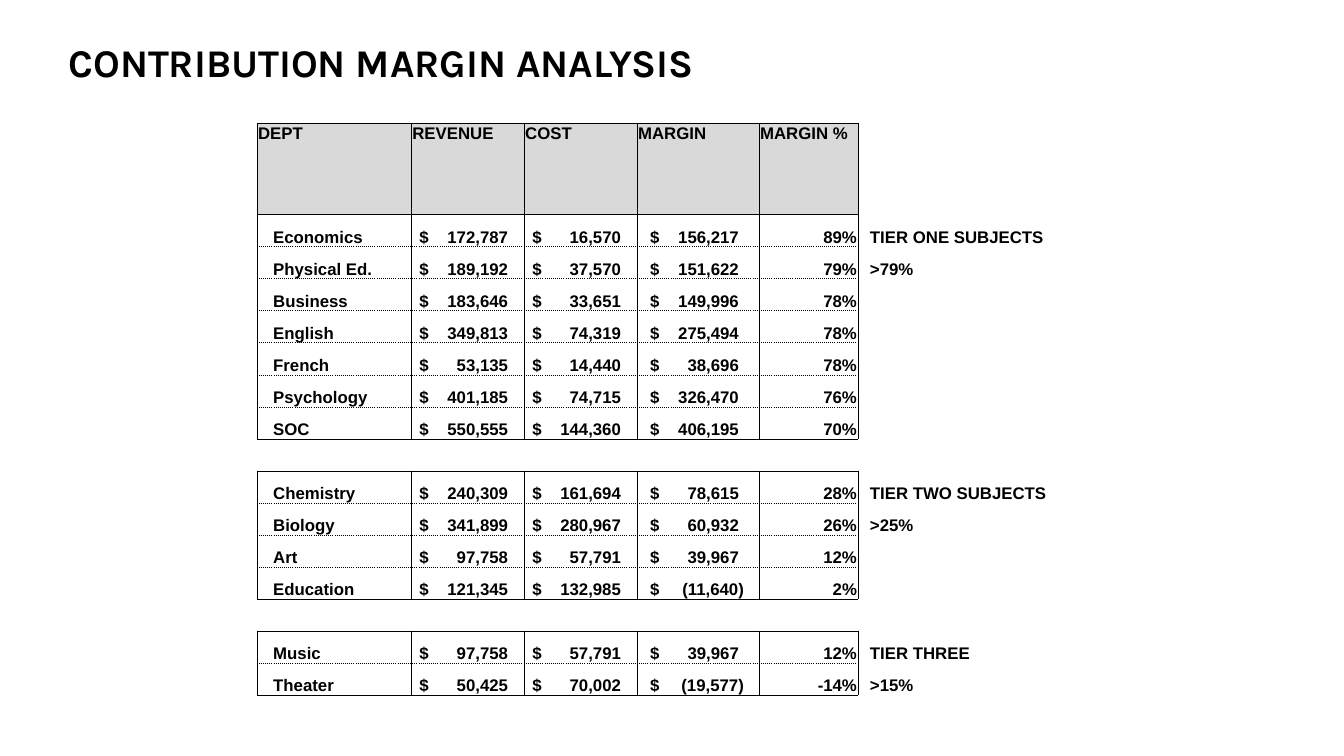
from lxml import etree
from pptx import Presentation
from pptx import util as u
from pptx.dml.color import RGBColor
from pptx.enum import text
from pptx.oxml import ns

HEADERS = ["DEPT", "REVENUE", "COST", "MARGIN", "MARGIN %"]
TIERS = [
    (["TIER ONE SUBJECTS", ">79%"], [
        ("Economics", "172,787", "16,570", "156,217", "89%"),
        ("Physical Ed.", "189,192", "37,570", "151,622", "79%"),
        ("Business", "183,646", "33,651", "149,996", "78%"),
        ("English", "349,813", "74,319", "275,494", "78%"),
        ("French", "53,135", "14,440", "38,696", "78%"),
        ("Psychology", "401,185", "74,715", "326,470", "76%"),
        ("SOC", "550,555", "144,360", "406,195", "70%"),
    ]),
    (["TIER TWO SUBJECTS", ">25%"], [
        ("Chemistry", "240,309", "161,694", "78,615", "28%"),
        ("Biology", "341,899", "280,967", "60,932", "26%"),
        ("Art", "97,758", "57,791", "39,967", "12%"),
        ("Education", "121,345", "132,985", "(11,640)", "2%"),
    ]),
    (["TIER THREE", ">15%"], [
        ("Music", "97,758", "57,791", "39,967", "12%"),
        ("Theater", "50,425", "70,002", "(19,577)", "-14%"),
    ]),
]
COLS = [1.53, 1.12, 1.12, 1.21, 0.98, 2.13]
INSETS = [0.16, 0.08, 0.08, 0.13, 0.01, 0.12]
HEAD_H, TABLE_H = 0.91, 5.68
LABEL_COL = 5


def rgb(code):
    return RGBColor.from_string(code)


class Deck:
    """Holds the style and the current slide."""

    ink, head_fill = "000000", "D9D9D9"
    title_font, body_font = "Karla", "Arial"

    def __init__(self, prs):
        self.s = prs.slides.add_slide(prs.slide_layouts[5])

    def run(self, p, content, font, size):
        r = p.add_run()
        r.text = content
        r.font.name, r.font.size, r.font.bold = font, u.Pt(size), True
        r.font.color.rgb = rgb(self.ink)

    def title(self, content, left, top, width, height):
        sp = self.s.shapes.title
        sp.left, sp.top, sp.width, sp.height = map(u.Inches, (left, top, width, height))
        tf = sp.text_frame
        tf.word_wrap = True
        tf.auto_size = text.MSO_AUTO_SIZE.NONE
        tf.vertical_anchor = text.MSO_ANCHOR.TOP
        p = tf.paragraphs[0]
        p.alignment = text.PP_ALIGN.LEFT
        p.space_before = u.Pt(5.6)
        self.run(p, content, self.title_font, 28)

    def table(self, left, top, widths, heights):
        tbl = self.s.shapes.add_table(
            len(heights), len(widths), u.Inches(left), u.Inches(top),
            u.Inches(sum(widths)), u.Inches(sum(heights))).table
        tbl.first_row = tbl.horz_banding = False
        for col, width in zip(tbl.columns, widths):
            col.width = u.Inches(width)
        for row, height in zip(tbl.rows, heights):
            row.height = u.Inches(height)
        return tbl

    def borders(self, cell, sides):
        tcPr = cell._tc.get_or_add_tcPr()
        for side in "LRTB":
            ln = etree.SubElement(tcPr, ns.qn(f"a:ln{side}"), w=str(u.Pt(0.5)))
            if side not in sides:
                etree.SubElement(ln, ns.qn("a:noFill"))
                continue
            fill = etree.SubElement(ln, ns.qn("a:solidFill"))
            etree.SubElement(fill, ns.qn("a:srgbClr"), val=self.ink)
            etree.SubElement(ln, ns.qn("a:prstDash"), val=sides[side])

    def cell(self, cell, content, sides, inset=0.01, align="LEFT", anchor="BOTTOM",
             fill=None, tab=None):
        self.borders(cell, sides)
        if fill:
            cell.fill.solid()
            cell.fill.fore_color.rgb = rgb(fill)
        else:
            cell.fill.background()
        cell.margin_left = u.Inches(inset)
        cell.margin_right = cell.margin_top = u.Inches(0.01)
        cell.margin_bottom = 0
        cell.vertical_anchor = text.MSO_ANCHOR[anchor]
        p = cell.text_frame.paragraphs[0]
        p.alignment = text.PP_ALIGN[align]
        if tab:
            stops = etree.SubElement(p._p.get_or_add_pPr(), ns.qn("a:tabLst"))
            etree.SubElement(stops, ns.qn("a:tab"), pos=str(u.Inches(tab)), algn="r")
        if content:
            self.run(p, content, self.body_font, 12)

    def department(self, tbl, i, values, first, last):
        sides = {"L": "solid", "R": "solid",
                 "T": "solid" if first else "dot", "B": "solid" if last else "dot"}
        for c, value in enumerate(values):
            style = {}
            if c in (1, 2, 3):
                style["tab"] = 0.93 if value.endswith(")") else 0.88
                value = "$\t" + value
            elif c == 4:
                style["align"] = "RIGHT"
            self.cell(tbl.cell(i, c), value, sides, INSETS[c], **style)

    def gap(self, tbl, i):
        for c in range(len(COLS)):
            sides = {} if c == LABEL_COL else {"T": "solid", "B": "solid"}
            self.cell(tbl.cell(i, c), "", sides)


prs = Presentation()
prs.slide_width, prs.slide_height = u.Inches(13.33), u.Inches(7.5)
deck = Deck(prs)
deck.title("CONTRIBUTION MARGIN ANALYSIS", 0.58, 0.33, 6.5, 0.85)

body_rows = sum(len(rows) for _, rows in TIERS) + len(TIERS) - 1
row_h = (TABLE_H - HEAD_H) / body_rows
tbl = deck.table(2.55, 1.22, COLS, [HEAD_H] + [row_h] * body_rows)

for c, header in enumerate(HEADERS):
    deck.cell(tbl.cell(0, c), header, dict.fromkeys("LRTB", "solid"),
              anchor="TOP", fill=deck.head_fill)
deck.cell(tbl.cell(0, LABEL_COL), "", {"L": "solid"})

i = 1
for t, (labels, rows) in enumerate(TIERS):
    if t:
        deck.gap(tbl, i)
        i += 1
    for n, values in enumerate(rows):
        deck.department(tbl, i, values, n == 0, n == len(rows) - 1)
        label = labels[n] if n < len(labels) else ""
        deck.cell(tbl.cell(i, LABEL_COL), label, {"L": "solid"}, INSETS[LABEL_COL])
        i += 1

prs.save("out.pptx")
